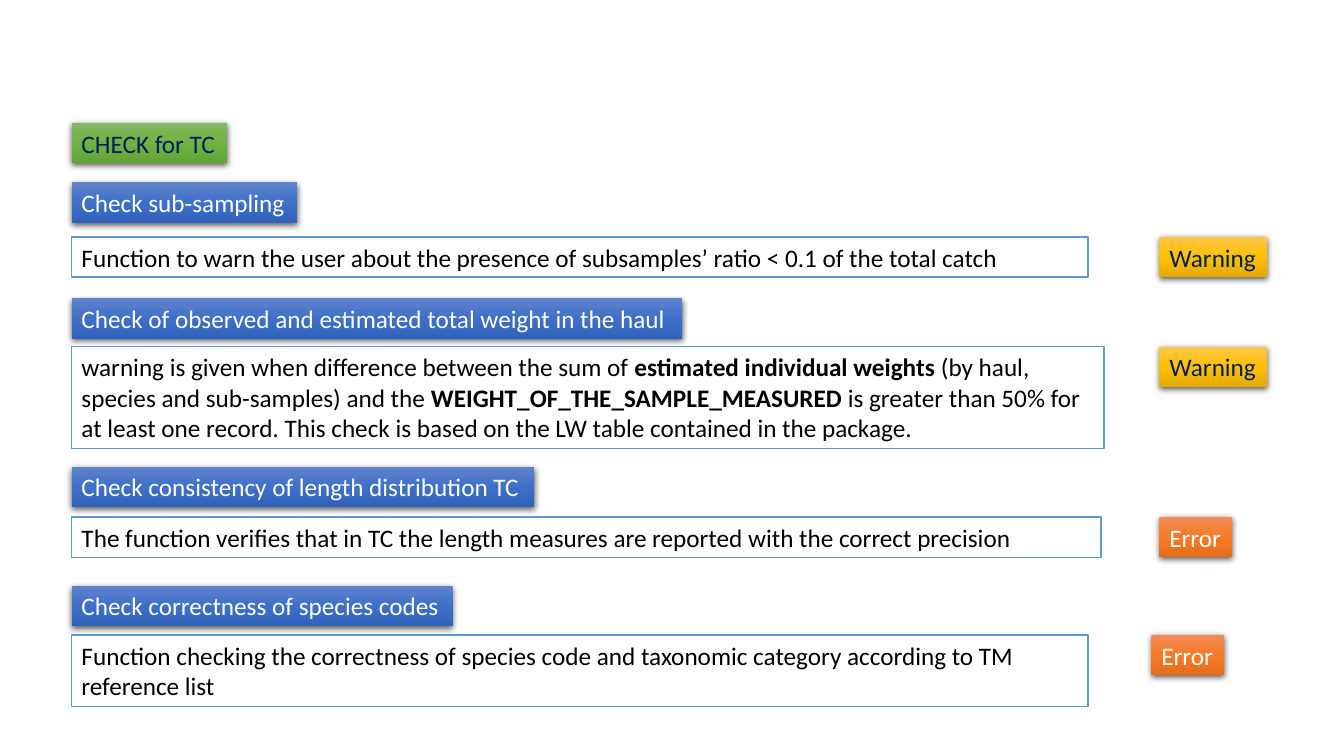
from lxml import etree
from pptx import Presentation
from pptx import util as u
from pptx.dml.color import RGBColor
from pptx.enum import shapes, text
from pptx.oxml import ns

PX = 9144
WHITE = RGBColor(0xFF, 0xFF, 0xFF)
BLACK = RGBColor(0x00, 0x00, 0x00)
NAVY = RGBColor(0x00, 0x20, 0x60)
BORDER = RGBColor(0x5B, 0x9B, 0xD5)
BLUE = [RGBColor(0x61, 0x83, 0xCB), RGBColor(0x3E, 0x70, 0xCA), RGBColor(0x30, 0x62, 0xBB)]
GREEN = [RGBColor(0x81, 0xB8, 0x61), RGBColor(0x6F, 0xB2, 0x42), RGBColor(0x62, 0xA3, 0x36)]
AMBER = [RGBColor(0xFF, 0xC6, 0x4B), RGBColor(0xFF, 0xC0, 0x00), RGBColor(0xE3, 0xAB, 0x00)]
ORANGE = [RGBColor(0xF1, 0x8C, 0x57), RGBColor(0xF6, 0x7B, 0x28), RGBColor(0xE5, 0x6C, 0x19)]

LEFT = 71
ROW_HEIGHT = 40
SEVERITIES = {"Warning": (107, AMBER, NAVY), "Error": (72, ORANGE, WHITE)}

prs = Presentation()
prs.slide_width, prs.slide_height = 1333 * PX, 750 * PX
slide = prs.slides.add_slide(prs.slide_layouts[6])


def add_box(left, top, width, height, parts, color, wrap):
    box = slide.shapes.add_shape(
        shapes.MSO_SHAPE.RECTANGLE, left * PX, top * PX, width * PX, height * PX)
    box.shadow.inherit = False
    frame_format = {"word_wrap": wrap, "auto_size": text.MSO_AUTO_SIZE.SHAPE_TO_FIT_TEXT,
                    "vertical_anchor": text.MSO_ANCHOR.TOP}
    for name, value in frame_format.items():
        setattr(box.text_frame, name, value)
    paragraph = box.text_frame.paragraphs[0]
    paragraph.alignment = text.PP_ALIGN.LEFT
    for index, part in enumerate(parts):
        run = paragraph.add_run()
        run.text = part
        run.font.color.rgb = color
        for name, value in {"name": "Calibri", "size": u.Pt(18), "bold": index % 2 == 1}.items():
            setattr(run.font, name, value)
    return box


def add_label(left, top, width, caption, gradient, color):
    label = add_box(left, top, width, ROW_HEIGHT, [caption], color, False)
    label.line.fill.background()
    properties = label._element.spPr
    stops = "".join(f'<a:gs pos="{i * 50000}"><a:srgbClr val="{stop}"/></a:gs>'
                    for i, stop in enumerate(gradient))
    properties.insert(2, etree.fromstring(
        f'<a:gradFill {ns.nsdecls("a")} rotWithShape="1"><a:gsLst>{stops}</a:gsLst>'
        '<a:lin ang="5400000" scaled="0"/></a:gradFill>'))
    properties.find(ns.qn("a:effectLst")).append(etree.fromstring(
        f'<a:outerShdw {ns.nsdecls("a")} blurRad="57150" dist="19050" dir="5400000" '
        'algn="ctr" rotWithShape="0"><a:srgbClr val="000000"><a:alpha val="63000"/>'
        '</a:srgbClr></a:outerShdw>'))


add_label(LEFT, 122, 154, "CHECK for TC", GREEN, NAVY)

checks = [
    ("Check sub-sampling", 181, 224, 235, 1008, 40,
     ["Function to warn the user about the presence of subsamples’ ratio < 0.1 of the total catch"],
     "Warning", 1150),
    ("Check of observed and estimated total weight in the haul", 296, 606, 344, 1024, 101,
     ["warning is given when difference between the sum of ",
      "estimated individual weights ",
      "(by haul, species and sub-samples) and the ",
      "WEIGHT_OF_THE_SAMPLE_MEASURED ",
      "is greater than 50% for at least one record. "
      "This check is based on the LW table contained in the package."],
     "Warning", 1150),
    ("Check consistency of length distribution TC", 463, 459, 513, 1021, 40,
     ["The function verifies that in TC the length measures are reported with the correct precision"],
     "Error", 1150),
    ("Check correctness of species codes", 581, 378, 630, 1008, 71,
     ["Function checking the correctness of species code and taxonomic category "
      "according to TM reference list"],
     "Error", 1142),
]

for title, title_top, title_width, top, width, height, parts, severity, severity_left in checks:
    add_label(LEFT, title_top, title_width, title, BLUE, WHITE)
    description = add_box(LEFT, top, width, height, parts, BLACK, True)
    description.fill.solid()
    description.fill.fore_color.rgb = WHITE
    description.line.color.rgb = BORDER
    description.line.width = u.Pt(1)
    severity_width, gradient, color = SEVERITIES[severity]
    add_label(severity_left, top, severity_width, severity, gradient, color)

prs.save("out.pptx")
